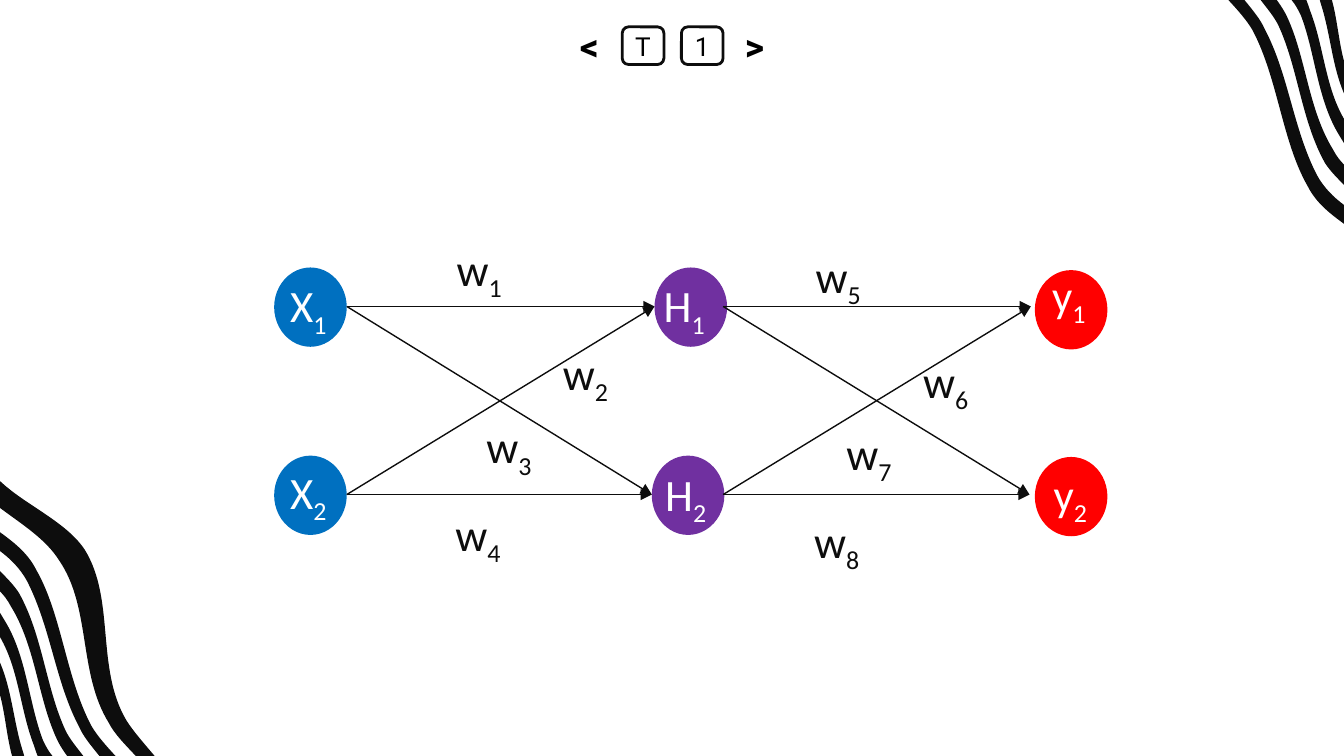
from itertools import product

from lxml.etree import SubElement
from pptx import Presentation
from pptx.dml.color import RGBColor
from pptx.enum.shapes import MSO_CONNECTOR, MSO_SHAPE
from pptx.enum.text import MSO_ANCHOR, MSO_AUTO_SIZE, PP_ALIGN
from pptx.oxml.ns import qn
from pptx.util import Inches, Pt

WIDTH, HEIGHT = 10, 10 * 9 / 16
INK, WHITE, BLACK = "0D0D0D", "FFFFFF", "000000"
BLUE, PURPLE, RED = "0070C0", "7030A0", "FF0000"

# Each stripe has two edges: a start point, then three Bezier points per curve
STRIPES = [
    ([(0, 3.78), (0.16, 3.9), (0.34, 4.01), (0.44, 4.17), (0.68, 4.52), (0.58, 5.01),
      (0.81, 5.38), (0.85, 5.46), (0.93, 5.54), (1.01, HEIGHT)],
     [(1.15, HEIGHT), (1.07, 5.53), (0.99, 5.44), (0.94, 5.36), (0.71, 4.97), (0.86, 4.46),
      (0.63, 4.09), (0.49, 3.88), (0.19, 3.76), (0, 3.58)]),
    ([(0, 4.1), (0.08, 4.16), (0.15, 4.23), (0.2, 4.32), (0.38, 4.67), (0.41, 5.07),
      (0.59, 5.41), (0.62, 5.48), (0.68, 5.55), (0.74, HEIGHT)],
     [(0.86, HEIGHT), (0.79, 5.55), (0.72, 5.47), (0.68, 5.4), (0.49, 5.04), (0.46, 4.57),
      (0.27, 4.24), (0.21, 4.12), (0.11, 4.04), (0, 3.96)]),
    ([(0, 4.4), (0.03, 4.43), (0.06, 4.47), (0.08, 4.51), (0.26, 4.8), (0.28, 5.17),
      (0.41, 5.47), (0.43, 5.52), (0.46, 5.57), (0.5, HEIGHT)],
     [(0.62, HEIGHT), (0.57, 5.56), (0.52, 5.5), (0.49, 5.44), (0.34, 5.12), (0.32, 4.73),
      (0.14, 4.41), (0.1, 4.35), (0.05, 4.3), (0, 4.25)]),
    ([(0, 4.74), (0.14, 4.98), (0.15, 5.28), (0.25, 5.54), (0.26, 5.57), (0.27, 5.6),
      (0.28, HEIGHT)],
     [(0.39, HEIGHT), (0.36, 5.59), (0.34, 5.55), (0.32, 5.51), (0.21, 5.22), (0.2, 4.88),
      (0.03, 4.61), (0.02, 4.59), (0.01, 4.58), (0, 4.56)]),
    ([(0, 5.17), (0.04, 5.32), (0.05, 5.48), (0.09, HEIGHT)],
     [(0.18, HEIGHT), (0.18, 5.61), (0.17, 5.6), (0.17, 5.59), (0.1, 5.37), (0.09, 5.14),
      (0, 4.93)]),
]

# Tiles of the header: text, left, size, bold, outlined
TILES = [("1", 5.07, 14, False, True), ("T", 4.63, 14, False, True),
         ("<", 4.23, 20, True, False), (">", 5.46, 20, True, False)]

# Neurons: left, top, fill
NEURONS = [(2.04, 1.99, BLUE), (2.04, 3.39, BLUE), (4.87, 1.99, PURPLE),
           (4.85, 3.39, PURPLE), (7.7, 2.01, RED), (7.7, 3.4, RED)]

# Arrows between layers: start x, then end x on the upper and lower row
ROWS = (2.28, 3.68)
LAYERS = [(2.58, (4.87, 4.85)), (5.38, (7.67, 7.66))]

# Labels: letter, subscript, left, top, width
NEURON_LABELS = [("X", "1", 2.06, 2.02, 0.55), ("X", "2", 2.06, 3.41, 0.55),
                 ("H", "1", 4.84, 2.02, 0.59), ("H", "2", 4.85, 3.42, 0.59),
                 ("y", "1", 7.73, 1.94, 0.52), ("y", "2", 7.74, 3.42, 0.52)]
WEIGHTS = [(3.3, 1.75), (4.09, 2.52), (3.52, 3.07), (3.29, 3.72),
           (5.97, 1.8), (6.77, 2.58), (6.2, 3.12), (5.96, 3.77)]


def color(value):
    return RGBColor.from_string(value)


def paint(shape, fill, line=None):
    shape.shadow.inherit = False
    shape.fill.solid()
    shape.fill.fore_color.rgb = color(fill)
    if line:
        shape.line.color.rgb = color(line)
        shape.line.width = Pt(1.5)
    else:
        shape.line.fill.background()


def add_span(para, text, font_color, **formats):
    span = para.add_run()
    span.text = text
    span.font.color.rgb = color(font_color)
    for name, value in formats.items():
        setattr(span.font, name, value)
    return span


def bend(segments):
    """Turn each three straight segments into one cubic curve."""
    for first in range(0, len(segments), 3):
        trio = segments[first:first + 3]
        curve = trio[0].makeelement(qn("a:cubicBezTo"))
        trio[0].addprevious(curve)
        for segment in trio:
            curve.append(segment[0])
            segment.getparent().remove(segment)


def add_stripe(page, edges, turned=False):
    points = [point for edge in edges for point in edge]
    if turned:  # half a turn around the middle of the slide
        points = [(WIDTH - x, HEIGHT - y) for x, y in points]
    corners = [(Inches(x), Inches(y)) for x, y in points]
    builder = page.shapes.build_freeform(*corners[0])
    builder.add_line_segments(corners[1:], close=True)
    stripe = builder.convert_to_shape()
    paint(stripe, INK)
    segments = list(stripe._element.iter(qn("a:lnTo")))
    joint = len(edges[0]) - 1  # the straight step between the edges
    bend(segments[:joint])
    bend(segments[joint + 1:])


def add_tile(page, text, left, size, bold, outlined):
    tile = page.shapes.add_shape(MSO_SHAPE.ROUNDED_RECTANGLE, Inches(left), Inches(0.2),
                                 Inches(0.31), Inches(0.28))
    paint(tile, WHITE, INK if outlined else None)
    frame = tile.text_frame
    frame.vertical_anchor = MSO_ANCHOR.MIDDLE
    for side in ("left", "top", "right", "bottom"):
        setattr(frame, f"margin_{side}", 0)
    para = frame.paragraphs[0]
    para.alignment = PP_ALIGN.CENTER
    add_span(para, text, BLACK, name="Roboto", size=Pt(size), bold=bold)


def add_neuron(page, left, top, fill):
    neuron = page.shapes.add_shape(MSO_SHAPE.OVAL, Inches(left), Inches(top),
                                   Inches(0.54), Inches(0.59))
    paint(neuron, fill)


def add_arrow(page, start, end):
    arrow = page.shapes.add_connector(MSO_CONNECTOR.STRAIGHT,
                                      *(Inches(value) for value in start + end))
    arrow.line.color.rgb = color(INK)
    arrow.line.width = Pt(0.75)
    SubElement(arrow.line._get_or_add_ln(), qn("a:tailEnd"), type="triangle")
    SubElement(arrow._element.spPr, qn("a:effectLst"))


def add_label(page, letter, subscript, left, top, width, font_color):
    box = page.shapes.add_textbox(Inches(left), Inches(top), Inches(width), Inches(0.5))
    frame = box.text_frame
    frame.word_wrap = False
    frame.auto_size = MSO_AUTO_SIZE.SHAPE_TO_FIT_TEXT
    formats = {"name": "Calibri", "size": Pt(24)}
    add_span(frame.paragraphs[0], letter, font_color, **formats)
    lowered = add_span(frame.paragraphs[0], subscript, font_color, **formats)
    lowered.font._element.set("baseline", "-25000")


def main():
    deck = Presentation()
    deck.slide_width, deck.slide_height = Inches(WIDTH), Inches(HEIGHT)
    page = deck.slides.add_slide(deck.slide_layouts[6])

    # Corner stripes; the widest one shows only at the lower left
    for edges in STRIPES:
        add_stripe(page, edges)
    for edges in STRIPES[1:]:
        add_stripe(page, edges, turned=True)

    # Header
    for tile in TILES:
        add_tile(page, *tile)

    # Network
    for neuron in NEURONS:
        add_neuron(page, *neuron)
    for start_x, end_xs in LAYERS:
        for start_y, end in product(ROWS, zip(end_xs, ROWS)):
            add_arrow(page, (start_x, start_y), end)

    # Labels
    for label in NEURON_LABELS:
        add_label(page, *label, WHITE)
    for number, (left, top) in enumerate(WEIGHTS, start=1):
        add_label(page, "w", str(number), left, top, 0.63, INK)

    deck.save("out.pptx")


if __name__ == "__main__":
    main()
